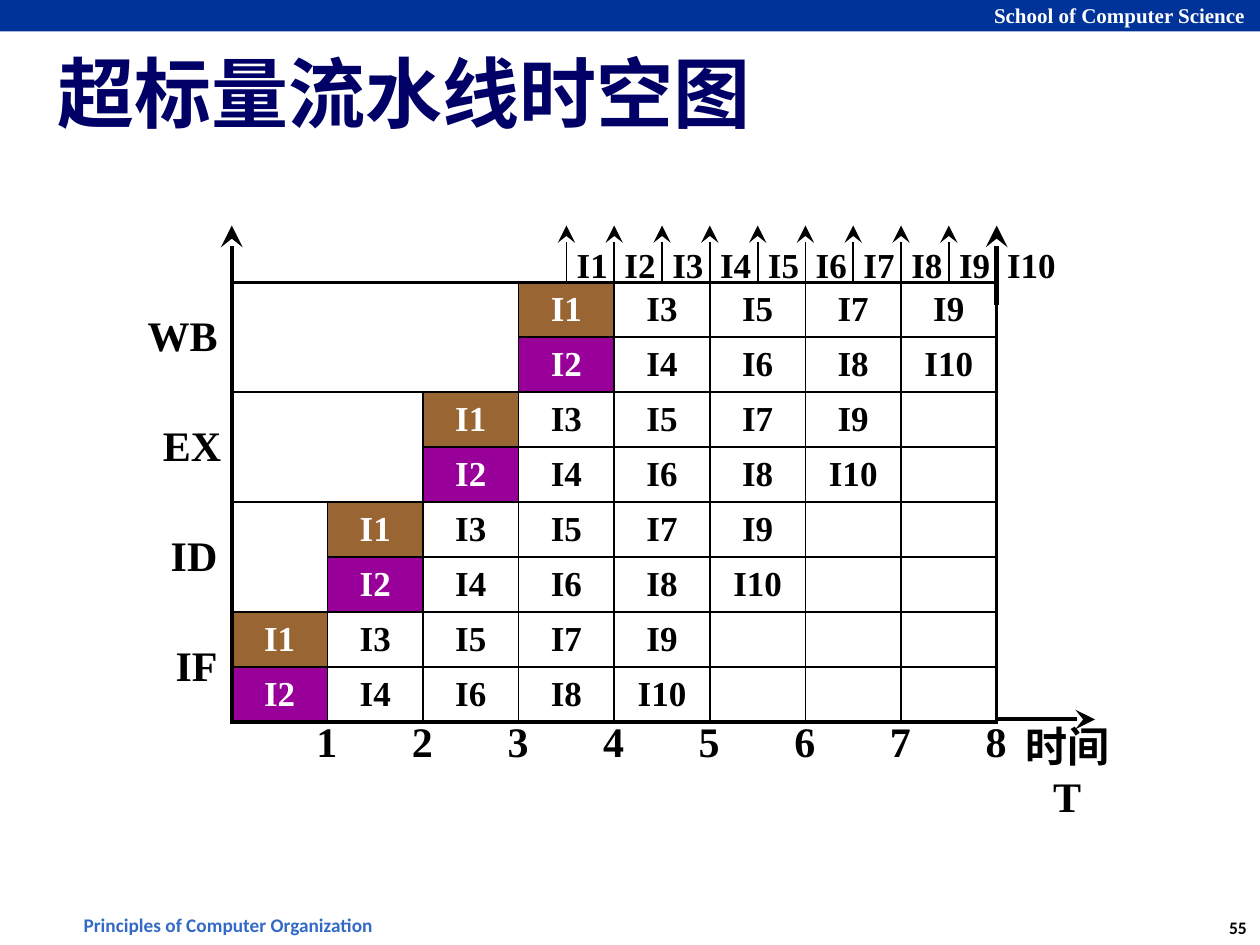
from pptx import Presentation
from pptx.dml.color import RGBColor
from pptx.enum.shapes import MSO_CONNECTOR, MSO_SHAPE
from pptx.enum.text import MSO_ANCHOR, MSO_AUTO_SIZE, PP_ALIGN
from pptx.oxml.ns import qn
from pptx.util import Inches, Pt
from lxml import etree

STRAIGHT = MSO_CONNECTOR.STRAIGHT
RECTANGLE = MSO_SHAPE.RECTANGLE
MIDDLE = MSO_ANCHOR.MIDDLE
NO_AUTOFIT = MSO_AUTO_SIZE.NONE
LEFT, CENTER = PP_ALIGN.LEFT, PP_ALIGN.CENTER

SERIF, SANS = "Times New Roman", "Calibri"
BLACK, WHITE, NAVY, BLUE = "000000", "FFFFFF", "000066", "003399"
FIRST_PAIR_FILLS = ["996633", "990099"]

# Stage name, label left, label width; top to bottom
STAGES = [("WB", 1.07, 0.76), ("EX", 1.19, 0.67), ("ID", 1.25, 0.58), ("IF", 1.28, 0.56)]
CYCLES = 8
PAIRS = 5
GRID_X, GRID_Y, GRID_W, GRID_H = 1.84, 2.24, 6.07, 3.49
COL_W = GRID_W / CYCLES
ROWS = 2 * len(STAGES)
ROW_H = GRID_H / ROWS
ARROW_TOP = 1.79


def rgb(color):
    return RGBColor.from_string(color)


def write(tf, text, size, color=BLACK, font=SERIF, align=CENTER):
    p = tf.paragraphs[0]
    p.alignment = align
    r = p.add_run()
    r.text = text
    style = {"name": font, "size": Pt(size), "bold": True}
    for key, value in style.items():
        setattr(r.font, key, value)
    r.font.color.rgb = rgb(color)


def add_label(s, text, x, y, w, h, size, color=BLACK, font=SERIF, wrap=False):
    box = s.shapes.add_textbox(Inches(x), Inches(y), Inches(w), Inches(h))
    tf = box.text_frame
    tf.word_wrap = wrap
    write(tf, text, size, color, font)


def add_arrow(s, x1, y1, x2, y2, width):
    line = s.shapes.add_connector(STRAIGHT, Inches(x1), Inches(y1), Inches(x2), Inches(y2))
    line.line.color.rgb = rgb(BLACK)
    line.line.width = Pt(width)
    etree.SubElement(line.line._get_or_add_ln(), qn("a:tailEnd"), type="stealth", w="lg", len="lg")
    etree.SubElement(line._element.spPr, qn("a:effectLst"))


def set_borders(cell, widths):
    """Draw the cell's sides; widths maps L, R, T and B to points."""
    tcPr = cell._tc.get_or_add_tcPr()
    for i, (side, width) in enumerate(widths.items()):
        ln = etree.Element(qn(f"a:ln{side}"), w=str(Pt(width)))
        fill = etree.SubElement(ln, qn("a:solidFill"))
        etree.SubElement(fill, qn("a:srgbClr"), val=BLACK)
        tcPr.insert(i, ln)


def add_header_footer(s):
    bar = s.shapes.add_shape(RECTANGLE, 0, 0, Inches(10), Inches(0.25))
    bar.shadow.inherit = False
    bar.fill.solid()
    bar.fill.fore_color.rgb = rgb(BLUE)
    bar.line.fill.background()
    add_label(s, "School of Computer Science", 7.78, -0.03, 2.21, 0.3, 12, WHITE)
    add_label(s, "Principles of Computer Organization ", 0.55, 7.2, 2.56, 0.29, 11, "326AC6", SANS)
    add_label(s, "55", 9.64, 7.23, 0.37, 0.27, 10, BLACK, SANS)


def add_title(s, text):
    title = s.shapes.title
    title.left, title.top = Inches(0.42), Inches(0.28)
    title.width, title.height = Inches(9.17), Inches(0.89)
    tf = title.text_frame
    frame = {"vertical_anchor": MIDDLE, "auto_size": NO_AUTOFIT, "word_wrap": True}
    for side in ("left", "right", "top", "bottom"):
        frame[f"margin_{side}"] = Inches(0.04)
    for key, value in frame.items():
        setattr(tf, key, value)
    write(tf, text, 44, NAVY, align=LEFT)


def add_pipeline_grid(s):
    """Two instructions enter each cycle; every later stage starts one cycle later."""
    table = s.shapes.add_table(ROWS, CYCLES, Inches(GRID_X), Inches(GRID_Y),
                               Inches(GRID_W), Inches(GRID_H)).table
    table.first_row = table.horz_banding = False
    for col in table.columns:
        col.width = Inches(COL_W)
    for row in table.rows:
        row.height = Inches(ROW_H)

    for row in range(ROWS):
        stage, lane = divmod(row, 2)
        start = len(STAGES) - 1 - stage
        for col in range(CYCLES):
            cell = table.cell(row, col)
            cell.vertical_anchor = MIDDLE
            pair = col - start
            if pair == 0:
                cell.fill.solid()
                cell.fill.fore_color.rgb = rgb(FIRST_PAIR_FILLS[lane])
            else:
                cell.fill.background()
            if 0 <= pair < PAIRS:
                write(cell.text_frame, f"I{2 * pair + lane + 1}", 20, BLACK if pair else WHITE)
            outer = {"L": col == 0, "R": col == CYCLES - 1, "T": row == 0, "B": row == ROWS - 1}
            set_borders(cell, {side: 2.25 if edge else 1 for side, edge in outer.items()})
        if lane and start:
            table.cell(row - 1, 0).merge(table.cell(row, start - 1))


def add_axes(s):
    bottom, right = GRID_Y + GRID_H, GRID_X + GRID_W
    add_arrow(s, GRID_X, 2.28, GRID_X, ARROW_TOP, 2.5)
    add_arrow(s, right, bottom - 0.02, 8.69, bottom - 0.02, 2.25)
    for i, (name, x, width) in enumerate(STAGES):
        add_label(s, name, x, 2.41 + i * 2 * ROW_H, width, 0.5, 24)
    for cycle in range(1, CYCLES + 1):
        add_label(s, str(cycle), GRID_X + cycle * COL_W - 0.19, 5.63, 0.37, 0.5, 24)
    add_label(s, "时间T", 7.94, 5.67, 1.06, 0.5, 24, wrap=True)


def add_completions(s):
    """Mark each finished instruction, half a cycle apart, above the grid."""
    count = 2 * PAIRS
    for i in range(count):
        x = GRID_X + (3.5 + i / 2) * COL_W
        last = i == count - 1
        foot = 2.42 if last else 2.37 if i % 2 else GRID_Y
        add_arrow(s, x, foot, x, ARROW_TOP, 2.5 if last else 1)
        add_label(s, f"I{i + 1}", x - 0.02, 1.88, 0.59 if last else 0.45, 0.44, 20)


def main():
    prs = Presentation()
    prs.slide_width, prs.slide_height = Inches(10), Inches(7.5)
    s = prs.slides.add_slide(prs.slide_layouts[5])
    add_header_footer(s)
    add_title(s, "超标量流水线时空图")
    add_pipeline_grid(s)
    add_axes(s)
    add_completions(s)
    prs.save("out.pptx")


if __name__ == "__main__":
    main()
